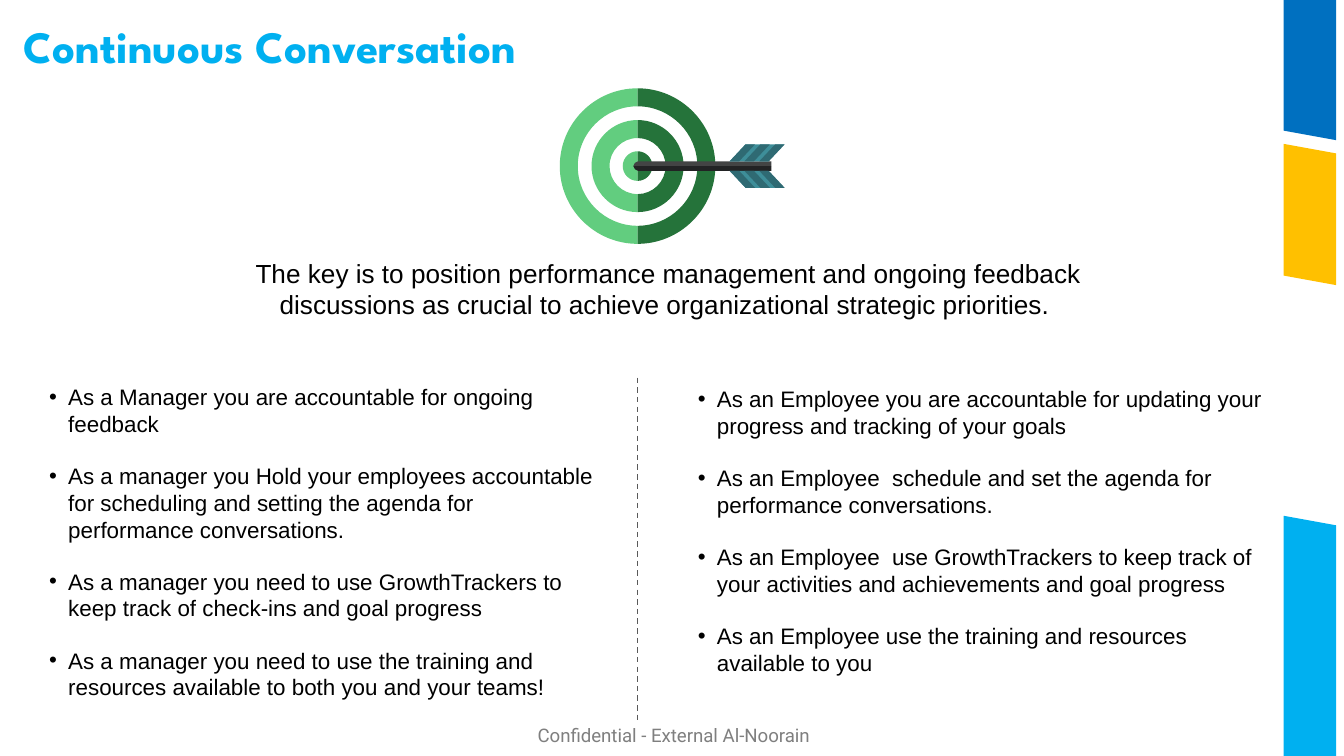
from lxml import etree
from pptx import Presentation
from pptx import util as u
from pptx.dml.color import RGBColor
from pptx.enum import dml, shapes, text
from pptx.oxml.ns import qn

BLUE, YELLOW, CYAN = "0070C0", "FFC000", "00B0F0"


def add_outline(parent, contours, color, curved=False):
    """Fill contours given in centimetres; curved reads points as Bezier triples."""
    builder = None
    for contour in contours:
        corners = [(u.Cm(x), u.Cm(y)) for x, y in contour]
        if builder is None:
            builder = parent.build_freeform(*corners[0], scale=1.0)
        else:
            builder.move_to(*corners[0])
        builder.add_line_segments(corners[1:], close=True)
    shape = builder.convert_to_shape()
    shape.shadow.inherit = False
    shape.fill.solid()
    shape.fill.fore_color.rgb = RGBColor.from_string(color)
    shape.line.fill.background()
    if curved:
        segments = list(shape._element.iter(qn("a:lnTo")))
        for first in range(0, len(segments), 3):
            curve = etree.Element(qn("a:cubicBezTo"))
            segments[first].addprevious(curve)
            for segment in segments[first:first + 3]:
                curve.append(segment[0])
                segment.getparent().remove(segment)


def add_text(box, lines, size, color="000000", font="Arial", margins=None,
             bold=False, bullets=False, space_after=0):
    """Add a text box at box (left, top, width, height in centimetres)."""
    shape = slide.shapes.add_textbox(*[u.Cm(length) for length in box])
    frame = shape.text_frame
    frame.word_wrap = True
    frame.auto_size = text.MSO_AUTO_SIZE.SHAPE_TO_FIT_TEXT
    if margins:
        frame.margin_left = frame.margin_right = u.Cm(margins[0])
        frame.margin_top = frame.margin_bottom = u.Cm(margins[1])
    for index, line in enumerate(lines):
        paragraph = frame.add_paragraph() if index else frame.paragraphs[0]
        paragraph.space_after = u.Pt(space_after)
        if bullets:
            properties = paragraph._p.get_or_add_pPr()
            properties.set("marL", str(u.Cm(0.36)))
            properties.set("indent", str(u.Cm(-0.36)))
            etree.SubElement(properties, qn("a:buFont")).set("typeface", "Arial")
            etree.SubElement(properties, qn("a:buChar")).set("char", "•")
        run = paragraph.add_run()
        run.text = line
        run.font.size = u.Pt(size)
        run.font.name = font
        run.font.bold = bold
        run.font.color.rgb = RGBColor.from_string(color)
    return frame


presentation = Presentation()
presentation.slide_width = u.Cm(25.4)
presentation.slide_height = u.Cm(14.29)
slide = presentation.slides.add_slide(presentation.slide_layouts[6])

# Footer and the slanted bands on the right edge
add_text((10.16, 13.69, 5.8, 0.43), ["Confidential - External Al-Noorain"], 10,
         color="7F7F7F", font="Roboto", margins=(0, 0))

band_left, band_right, slant = 24.26, 25.25, 0.18
for top, bottom, top_slant, bottom_slant, color in [
    (9.75, 14.29, slant, 0, CYAN),
    (2.72, 5.21, slant, slant, YELLOW),
    (0, 2.47, 0, slant, BLUE),
]:
    add_outline(slide.shapes, [[
        (band_left, top), (band_right, top + top_slant),
        (band_right, bottom + bottom_slant), (band_left, bottom),
    ]], color)

# Target: a white disc under two-tone rings
center_x, center_y = 12.05, 3.14
target = slide.shapes.add_group_shape().shapes
disc_radius = 1.28
disc = target.add_shape(
    shapes.MSO_SHAPE.OVAL, u.Cm(center_x - disc_radius), u.Cm(center_y - disc_radius),
    u.Cm(2 * disc_radius), u.Cm(2 * disc_radius))
disc.shadow.inherit = False
disc.fill.solid()
disc.fill.fore_color.rgb = RGBColor.from_string("FFFFFF")
disc.line.fill.background()

# Bezier points of a half circle with radius 1, from top to bottom
handle = 0.55
half_circle = [(0, -1), (handle, -1), (1, -handle), (1, 0),
               (1, handle), (handle, 1), (0, 1)]
for side, color in [(-1, "62CD7F"), (1, "25733A")]:
    rings = []
    for outer, inner in [(1.47, 1.13), (0.87, 0.53), (0.28, 0)]:
        edges = [(outer * x, outer * y) for x, y in half_circle]
        edges += [(0, outer), (0, inner)]  # handles of the straight joint
        edges += [(inner * x, inner * y) for x, y in reversed(half_circle)]
        rings.append([(center_x + side * x, center_y + y) for x, y in edges])
    add_outline(target, rings, color, curved=True)

# Arrow: upper and lower halves mirror each other
tip, shaft_end, half_shaft = 11.97, 14.58, 0.09
feather_left, feather_height, lean = 13.79, 0.41, 0.3
for side, color in [(-1, "434444"), (1, "222324")]:
    shaft_y = center_y + side * half_shaft
    add_outline(target, [[
        (tip, center_y), (tip + 0.03, center_y + side * 0.06), (tip + 0.09, shaft_y),
        (shaft_end, shaft_y), (shaft_end, center_y),
    ]], color)

feather_parts = [("3E8E99", [(feather_left, 0.73)])]
stripes = [(feather_left + 0.28 * number, 0.18) for number in range(3)]
feather_parts.append(("2F6A73", stripes))
for color, parts in feather_parts:
    add_outline(target, [[
        (left, center_y + side * half_shaft),
        (left + width, center_y + side * half_shaft),
        (left + width + lean, center_y + side * feather_height),
        (left + lean, center_y + side * feather_height),
    ] for side in (-1, 1) for left, width in parts], color)

# Manager and employee columns with a dashed divider
manager_points = [
    "As a Manager you are accountable for ongoing feedback",
    "As a manager you Hold your employees accountable for scheduling and "
    "setting the agenda for performance conversations.",
    "As a manager you need to use GrowthTrackers to keep track of check-ins "
    "and goal progress",
    "As a manager you need to use the training and resources available to "
    "both you and your teams!",
]
employee_points = [
    "As an Employee you are accountable for updating your progress and "
    "tracking of your goals",
    "As an Employee  schedule and set the agenda for performance conversations.",
    "As an Employee  use GrowthTrackers to keep track of your activities and "
    "achievements and goal progress",
    "As an Employee use the training and resources available to you",
]
for box, points in [((0.83, 7.19, 10.55, 6.2), manager_points),
                    ((13.09, 7.23, 11.2, 5.69), employee_points)]:
    add_text(box, points, 12, margins=(0.1, 0.05), bullets=True, space_after=13.5)

divider = slide.shapes.add_connector(
    shapes.MSO_CONNECTOR.STRAIGHT,
    u.Cm(center_x), u.Cm(7.14), u.Cm(center_x), u.Cm(13.67))
divider.line.color.rgb = RGBColor.from_string("595959")
divider.line.width = u.Pt(0.75)
divider.line.dash_style = dml.MSO_LINE.DASH
etree.SubElement(divider._element.spPr, qn("a:effectLst"))

# Title and key message
title = add_text((0.2, 0.35, 18.49, 1.17), ["Continuous Conversation"], 24,
                 color=CYAN, font="League Spartan", bold=True)
title.vertical_anchor = text.MSO_ANCHOR.MIDDLE
title.paragraphs[0].line_spacing = 0.9

message = add_text((3.39, 4.74, 18.49, 1.45), [
    "The key is to position performance management and ongoing feedback "
    "discussions as crucial to achieve organizational strategic priorities. ",
], 14, space_after=13.5)
message.paragraphs[0].alignment = text.PP_ALIGN.CENTER

presentation.save("out.pptx")
